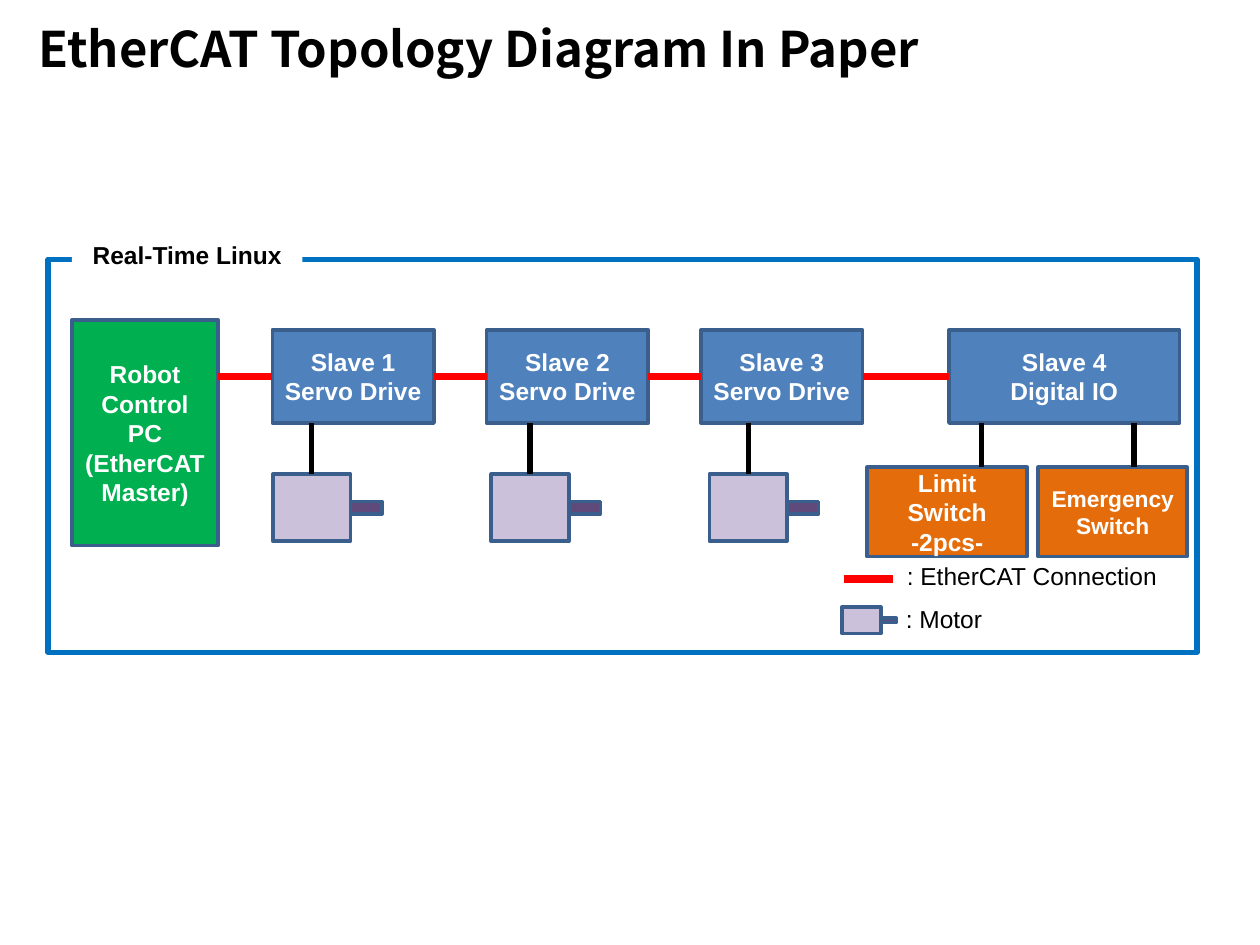
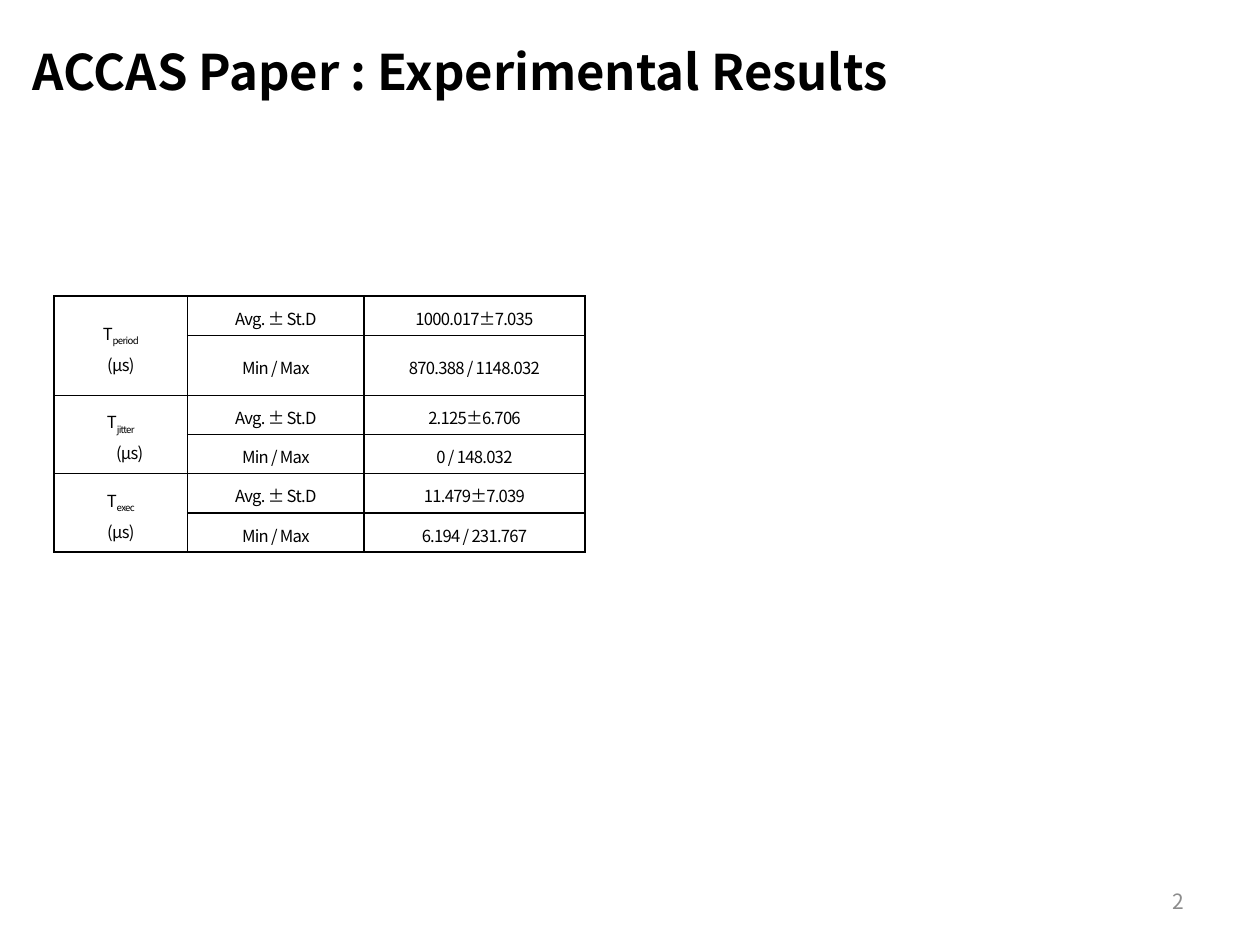
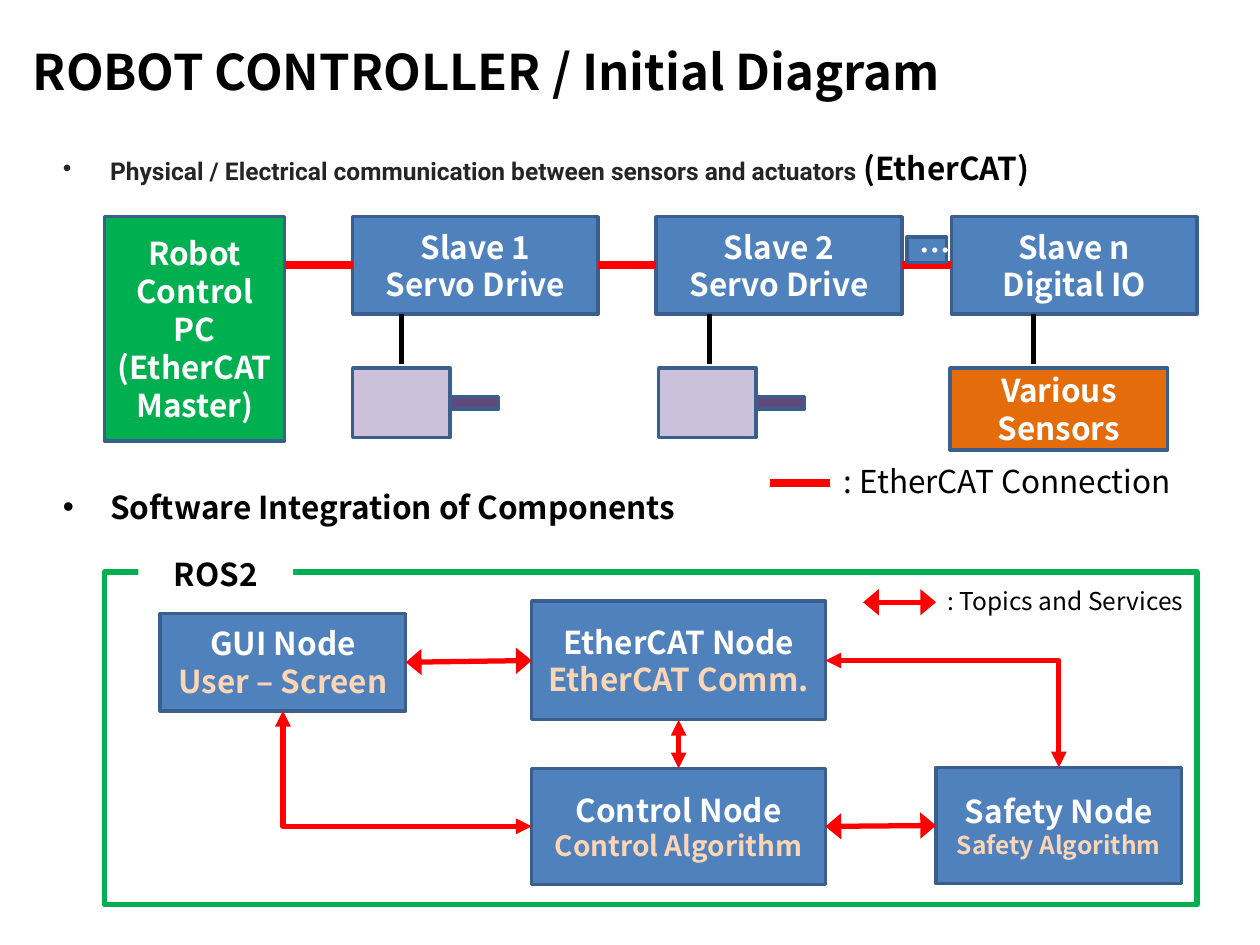
from dataclasses import dataclass
from itertools import pairwise

from lxml import etree
from pptx import Presentation
from pptx import util as u
from pptx.dml import color
from pptx.enum import shapes, text
from pptx.oxml import ns

SANS = "Noto Sans CJK KR"
ARIAL = "Arial"
BLACK, WHITE, RED = "000000", "FFFFFF", "FF0000"
BLUE, GREEN, ORANGE, PEACH = "4F81BD", "00B050", "E46C0A", "FCD5B5"
EDGE, LILAC, PURPLE, FRAME_BLUE = "3A5F8C", "CCC1DA", "604A7B", "0070C0"
LEFT, CENTER, RIGHT = (
    text.PP_ALIGN.LEFT, text.PP_ALIGN.CENTER, text.PP_ALIGN.RIGHT)
TOP, MIDDLE = text.MSO_ANCHOR.TOP, text.MSO_ANCHOR.MIDDLE
SITE = {"top": 0, "left": 1, "bottom": 2, "right": 3}


@dataclass(frozen=True)
class Block:
    words: str
    left: float
    top: float
    width: float
    height: float
    fill: str | None = BLUE
    edge: str | None = EDGE
    weight: float = 2
    size: float = 18
    face: str = SANS
    ink: str = WHITE
    anchor: text.MSO_ANCHOR = MIDDLE
    second_line: str = ""
    second_size: float = 18


@dataclass(frozen=True)
class Motor:
    left: float
    top: float
    width: float
    height: float
    shaft: float
    thickness: float = 0.25


@dataclass(frozen=True)
class Link:
    start: str
    start_side: str
    end: str
    end_side: str
    elbow: bool = False
    head: str = "med"


@dataclass(frozen=True)
class Measure:
    name: str
    average: str
    extremes: str
    indent: float = 0


def rgb(value):
    return color.RGBColor.from_string(value)


def child(parent, tag, **attributes):
    return etree.SubElement(parent, ns.qn(tag), attributes)


def add_span(para, words, *, size=18, face=SANS, ink=BLACK, bold=False,
             baseline=None, tracking=None):
    span = para.add_run()
    span.text = words
    span.font.size = u.Pt(size)
    span.font.bold = bold
    span.font.color.rgb = rgb(ink)
    span.font.name = face
    properties = span.font._element
    child(properties, "a:ea", typeface=face)
    if baseline:
        properties.set("baseline", str(baseline))
    if tracking:
        properties.set("spc", str(tracking))


def next_para(frame, align=LEFT):
    first = frame.paragraphs[0]
    para = frame.add_paragraph() if first.runs else first
    para.alignment = align
    return para


def write(frame, words, *, align=LEFT, **style):
    for line in words.split("\n"):
        add_span(next_para(frame, align), line, **style)


def set_frame(frame, anchor):
    frame.word_wrap = True
    frame.vertical_anchor = anchor
    frame.margin_left = frame.margin_right = u.Cm(0.25)
    frame.margin_top = frame.margin_bottom = u.Cm(0.13)


def add_text(page, words, left, top, width, height, *, anchor=TOP, **style):
    box = page.shapes.add_textbox(
        u.Cm(left), u.Cm(top), u.Cm(width), u.Cm(height))
    set_frame(box.text_frame, anchor)
    if words:
        write(box.text_frame, words, **style)
    return box.text_frame


def add_title(page, words, left, top):
    add_text(page, words, left, top, 22.22, 1.63, anchor=MIDDLE, size=28,
             bold=True)


def add_block(page, block: Block):
    box = page.shapes.add_shape(
        shapes.MSO_SHAPE.RECTANGLE, u.Cm(block.left), u.Cm(block.top),
        u.Cm(block.width), u.Cm(block.height))
    box.shadow.inherit = False
    if block.fill:
        box.fill.solid()
        box.fill.fore_color.rgb = rgb(block.fill)
    else:
        box.fill.background()
    if block.edge:
        box.line.color.rgb = rgb(block.edge)
        box.line.width = u.Pt(block.weight)
    else:
        box.line.fill.background()
    set_frame(box.text_frame, block.anchor)
    style = dict(align=CENTER, face=block.face, bold=True)
    if block.words:
        write(box.text_frame, block.words, size=block.size, ink=block.ink,
              **style)
    if block.second_line:
        write(box.text_frame, block.second_line, size=block.second_size,
              ink=PEACH, **style)
    return box


def add_frame(page, area, edge, label, label_area, **style):
    add_block(page, Block("", *area, fill=None, edge=edge, weight=3))
    add_block(page, Block(label, *label_area, fill=WHITE, edge=None,
                          ink=BLACK, anchor=TOP, **style))


def add_motor(page, motor: Motor):
    middle = motor.left + motor.width / 2
    shaft_top = motor.top + (motor.height - motor.thickness) / 2
    add_block(page, Block("", middle, shaft_top, motor.shaft,
                          motor.thickness, fill=PURPLE))
    add_block(page, Block("", motor.left, motor.top, motor.width,
                          motor.height, fill=LILAC))


def style_line(line, ink, weight, head=None):
    line.line.color.rgb = rgb(ink)
    line.line.width = u.Pt(weight)
    properties = line._element.spPr
    if head:
        stroke = properties.find(ns.qn("a:ln"))
        for tag in ("a:headEnd", "a:tailEnd"):
            child(stroke, tag, type="triangle", w=head, len="med")
    child(properties, "a:effectLst")


def add_line(page, x1, y1, x2, y2, ink=BLACK, weight=3.0, head=None):
    line = page.shapes.add_connector(
        shapes.MSO_CONNECTOR.STRAIGHT, u.Cm(x1), u.Cm(y1), u.Cm(x2),
        u.Cm(y2))
    style_line(line, ink, weight, head)


def add_bus(page, blocks, y):
    for before, after in pairwise(blocks):
        add_line(page, before.left + before.width, y, after.left, y, RED, 4.5)


def add_link(page, link: Link, nodes):
    kind = (shapes.MSO_CONNECTOR.ELBOW if link.elbow
            else shapes.MSO_CONNECTOR.STRAIGHT)
    line = page.shapes.add_connector(kind, 0, 0, 0, 0)
    line.begin_connect(nodes[link.start], SITE[link.start_side])
    line.end_connect(nodes[link.end], SITE[link.end_side])
    if link.elbow:
        geometry = line._element.spPr.find(ns.qn("a:prstGeom"))
        geometry.set("prst", "bentConnector2")
    style_line(line, RED, 3, link.head)


def build_topology(page):
    add_title(page, "EtherCAT Topology Diagram In Paper", 0.53, 0.15)
    add_frame(page, (0.97, 5.23, 23.16, 7.92), FRAME_BLUE,
              "Real-Time Linux", (1.45, 4.7, 4.65, 0.86), size=14, face=ARIAL)
    arial = dict(size=14, face=ARIAL)
    chain = [Block("Robot Control PC\n(EtherCAT\nMaster)", 1.45, 6.45, 2.95,
                   4.55, GREEN, **arial)]
    chain += [Block(f"Slave {i + 1}\nServo Drive", 5.49 + 4.32 * i, 6.65,
                    3.26, 1.88, **arial) for i in range(3)]
    chain.append(Block("Slave 4\nDigital IO", 19.13, 6.65, 4.65, 1.88,
                       **arial))
    switches = [
        Block("Limit Switch\n-2pcs-", 17.48, 9.42, 3.23, 1.8, ORANGE,
              **arial),
        Block("Emergency\nSwitch", 20.93, 9.42, 3, 1.8, ORANGE, size=13,
              face=ARIAL),
    ]
    for block in chain + switches:
        add_block(page, block)
    add_bus(page, chain, 7.59)
    for i in range(3):
        motor = Motor(5.5 + 4.4 * i, 9.56, 1.57, 1.35, 1.42)
        add_motor(page, motor)
        center = motor.left + motor.width / 2
        add_line(page, center, 8.53, center, motor.top)
    for x in (19.79, 22.86):
        add_line(page, x, 8.53, x, 9.42)
    add_line(page, 17.02, 11.68, 18.01, 11.68, RED, 4.5)
    add_text(page, ": EtherCAT Connection", 18.03, 11.18, 6.4, 0.84, **arial)
    add_motor(page, Motor(16.97, 12.24, 0.79, 0.53, 0.7, 0.1))
    add_text(page, ": Motor", 18.01, 12.04, 6.4, 0.84, **arial)


def style_cell(cell):
    cell.margin_left = cell.margin_right = u.Cm(0.18)
    cell.margin_top = cell.margin_bottom = 0
    cell.vertical_anchor = MIDDLE
    properties = cell._tc.get_or_add_tcPr()
    for side in ("a:lnL", "a:lnR", "a:lnT", "a:lnB"):
        border = child(properties, side, w=str(u.Pt(1)))
        child(child(border, "a:solidFill"), "a:srgbClr", val=BLACK)
    cell.fill.background()
    for para in cell.text_frame.paragraphs:
        para.line_spacing = 1.2
        child(para._p, "a:endParaRPr", sz="950")


def build_results(page):
    add_title(page, "ACCAS Paper : Experimental Results", 0.41, 0.61)
    measures = [
        Measure("period", "1000.017±7.035", "870.388 / 1148.032"),
        Measure("jitter", "2.125±6.706", "0 / 148.032", 0.36),
        Measure("exec", "11.479±7.039", "6.194 / 231.767"),
    ]
    widths = (2.69, 3.56, 4.45)
    heights = (0.79, 1.21, 0.79, 0.79, 0.79, 0.79)
    table = page.shapes.add_table(
        len(heights), len(widths), u.Cm(1.09), u.Cm(5.97),
        u.Cm(sum(widths)), u.Cm(sum(heights))).table
    table.first_row = table.horz_banding = False
    for column, width in zip(table.columns, widths):
        column.width = u.Cm(width)
    for row, height in zip(table.rows, heights):
        row.height = u.Cm(height)
    style = dict(size=9.5, tracking=-40)
    for i, measure in enumerate(measures):
        top = 2 * i
        name = table.cell(top, 0)
        name.merge(table.cell(top + 1, 0))
        symbol = next_para(name.text_frame, CENTER)
        add_span(symbol, "T", **style)
        add_span(symbol, measure.name, baseline=-25000, **style)
        unit = next_para(name.text_frame, CENTER)
        add_span(unit, "(µs)", **style)
        if measure.indent:
            unit._p.get_or_add_pPr().set("indent", str(u.Cm(measure.indent)))
        values = (("Avg. ± St.D", measure.average),
                  ("Min / Max", measure.extremes))
        for row, pair in enumerate(values, top):
            for column, words in enumerate(pair, 1):
                write(table.cell(row, column).text_frame, words,
                      align=CENTER, **style)
    for cell in table.iter_cells():
        style_cell(cell)
    add_text(page, "2", 18.21, 17.65, 5.92, 1.02, anchor=MIDDLE, size=12,
             ink="8C8C8C", align=RIGHT)


def bullet_para(frame, gap=0):
    para = next_para(frame)
    para.line_spacing = 1.45
    if gap:
        para.space_before = u.Pt(gap)
    properties = para._p.get_or_add_pPr()
    properties.set("marL", str(u.Cm(0.95)))
    properties.set("indent", str(u.Cm(-0.95)))
    child(properties, "a:buFont", typeface=ARIAL)
    child(properties, "a:buChar", char="•")
    return para


def build_controller(page):
    body = add_text(page, "", 1.02, 2.54, 23.11, 14.48)
    physical = bullet_para(body)
    add_span(physical, "Physical / Electrical communication between sensors "
             "and actuators ", size=14, face="Roboto", ink="252525",
             bold=True)
    add_span(physical, "(EtherCAT)", bold=True)
    add_span(bullet_para(body, 162), "Software Integration of Components",
             bold=True)
    add_title(page, "ROBOT CONTROLLER / Initial Diagram", 0.41, 0.61)

    add_frame(page, (2.11, 11.53, 22.02, 6.71), GREEN, "ROS2",
              (2.79, 11.05, 3.12, 1.02))
    node_blocks = [
        Block("EtherCAT Node", 10.72, 12.12, 5.92, 2.39,
              second_line="EtherCAT Comm."),
        Block("GUI Node", 3.23, 12.37, 4.95, 1.96,
              second_line="User – Screen"),
        Block("Safety Node", 18.87, 15.47, 4.95, 2.34,
              second_line="Safety Algorithm", second_size=14),
        Block("Control Node", 10.72, 15.49, 5.92, 2.34,
              second_line="Control Algorithm", second_size=16),
    ]
    nodes = {block.words: add_block(page, block) for block in node_blocks}
    links = [
        Link("GUI Node", "right", "EtherCAT Node", "left", head="lg"),
        Link("Control Node", "right", "Safety Node", "left", head="lg"),
        Link("EtherCAT Node", "bottom", "Control Node", "top"),
        Link("Control Node", "left", "GUI Node", "bottom", elbow=True),
        Link("EtherCAT Node", "right", "Safety Node", "top", elbow=True),
    ]
    for link in links:
        add_link(page, link, nodes)
    add_line(page, 17.4, 12.14, 18.87, 12.14, RED, 3, "lg")
    add_text(page, ": Topics and Services", 18.85, 11.68, 5.61, 0.86, size=14)

    chain = [
        Block("Robot Control PC\n(EtherCAT\nMaster)", 2.11, 4.37, 3.63, 4.52,
              GREEN),
        Block("Slave 1\nServo Drive", 7.11, 4.37, 4.95, 1.96),
        Block("Slave 2\nServo Drive", 13.23, 4.37, 4.95, 1.96),
        Block("Slave n\nDigital IO", 19.18, 4.37, 4.95, 1.96),
    ]
    for block in chain:
        add_block(page, block)
    add_block(page, Block("Various Sensors", 19.15, 7.42, 4.39, 1.65, ORANGE))
    for left in (7.11, 13.28):
        add_motor(page, Motor(left, 7.42, 1.96, 1.4, 1.96))
    for x in (8.1, 14.3, 20.83):
        add_line(page, x, 6.33, x, 7.34)
    add_bus(page, chain, 5.35)
    add_line(page, 15.52, 9.73, 16.74, 9.73, RED, 4.5)
    add_text(page, ": EtherCAT Connection", 16.76, 9.19, 7.95, 1.02)
    add_block(page, Block("…", 18.29, 4.78, 0.79, 0.51))


def main():
    deck = Presentation()
    deck.slide_width, deck.slide_height = u.Cm(25.4), u.Cm(19.05)
    for build in (build_topology, build_results, build_controller):
        build(deck.slides.add_slide(deck.slide_layouts[6]))
    deck.save("out.pptx")


if __name__ == "__main__":
    main()
